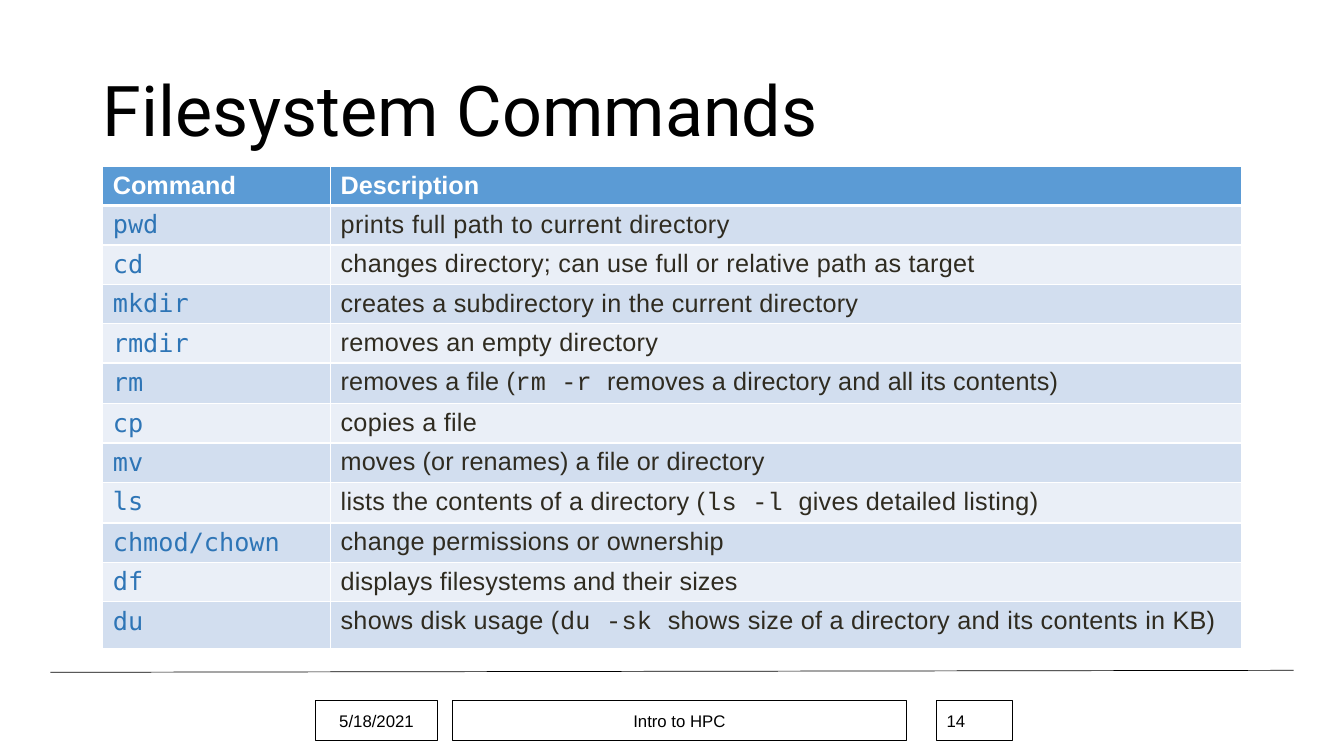
from lxml import etree
from pptx import Presentation
from pptx.dml.color import RGBColor
from pptx.enum.shapes import MSO_CONNECTOR, MSO_SHAPE
from pptx.enum.text import MSO_ANCHOR, MSO_AUTO_SIZE, PP_ALIGN
from pptx.oxml.ns import qn
from pptx.util import Inches, Pt

LEFT, CENTER = PP_ALIGN.LEFT, PP_ALIGN.CENTER
MIDDLE = MSO_ANCHOR.MIDDLE
NO_FIT = MSO_AUTO_SIZE.NONE
RECT = MSO_SHAPE.RECTANGLE
STRAIGHT = MSO_CONNECTOR.STRAIGHT
TITLE_ONLY = 5
WIDTH, HEIGHT = Inches(13.33), Inches(7.5)

HEADINGS = ("Command", "Description")
COMMANDS = [
    ("pwd", "prints full path to current directory", 0.3),
    ("cd", "changes directory; can use full or relative path as target", 0.2),
    ("mkdir", "creates a subdirectory in the current directory", 0.2),
    ("rmdir", "removes an empty directory", 0.2),
    ("rm", "removes a file (`rm -r `removes a directory and all its contents)", 0.1),
    ("cp", "copies a file", 0.2),
    ("mv", "moves (or renames) a file or directory", 0.1),
    ("ls", "lists the contents of a directory (`ls -l `gives detailed listing)", 0.2),
    ("chmod/chown", "change permissions or ownership", 0.2),
    ("df", "displays filesystems and their sizes", 0.1),
    ("du", "shows disk usage (`du -sk `shows size of a directory "
           "and its contents in KB)", 0.2),
]
FOOTERS = [
    (23.48, 9.08, "5/18/2021", CENTER),
    (33.68, 33.76, "Intro to HPC", CENTER),
    (69.69, 5.63, "14", LEFT),
]


def across(share):
    """Return a percentage of the slide's width."""
    return int(WIDTH * share / 100)


def down(share):
    """Return a percentage of the slide's height."""
    return int(HEIGHT * share / 100)


def rgb(color):
    """Turn a hex string into a colour."""
    return RGBColor.from_string(color)


def add_text(p, text, size=18, font="Arial", color="000000", bold=False, spacing=0):
    """Append a formatted run to a paragraph."""
    r = p.add_run()
    r.text = text
    r.font.size, r.font.name, r.font.bold = Pt(size), font, bold
    r.font.color.rgb = rgb(color)
    if spacing:
        r.font._element.set("spc", str(round(spacing * 100)))


def set_title(s, text):
    """Place and format the slide title."""
    sp = s.shapes.title
    sp.left, sp.top = across(6.9), down(5.33)
    sp.width, sp.height = across(86.27), down(19.33)
    tf = sp.text_frame
    tf.word_wrap, tf.auto_size, tf.vertical_anchor = True, NO_FIT, MIDDLE
    p = tf.paragraphs[0]
    p.alignment, p.line_spacing = LEFT, 0.9
    add_text(p, text, size=50, font="Roboto")


def style_cell(cell, fill, top=1, bottom=1):
    """Give a cell white borders and a solid fill."""
    tc_pr = cell._tc.get_or_add_tcPr()
    for side, width in (("L", 1), ("R", 1), ("T", top), ("B", bottom)):
        ln = etree.SubElement(tc_pr, qn(f"a:ln{side}"), w=str(Pt(width)))
        solid = etree.SubElement(ln, qn("a:solidFill"))
        etree.SubElement(solid, qn("a:srgbClr"), val="FFFFFF")
    cell.fill.solid()
    cell.fill.fore_color.rgb = rgb(fill)


def add_command_table(s):
    """Add the table of commands, with backticks marking code."""
    count = len(COMMANDS) + 1
    widths = [across(16.95), across(67.82)]
    heights = [down(5.2)] * (count - 1) + [down(6.27)]
    table = s.shapes.add_table(count, 2, across(7.65), down(22),
                               sum(widths), sum(heights)).table
    for column, width in zip(table.columns, widths):
        column.width = width
    for row, height in zip(table.rows, heights):
        row.height = height
    for i, heading in enumerate(HEADINGS):
        cell = table.cell(0, i)
        style_cell(cell, "5B9BD5", bottom=3)
        add_text(cell.text_frame.paragraphs[0], heading, color="FFFFFF", bold=True)
    for i, (command, description, spacing) in enumerate(COMMANDS, 1):
        name, detail = table.cell(i, 0), table.cell(i, 1)
        for cell in (name, detail):
            style_cell(cell, "D2DEEF" if i % 2 else "EAEFF7", top=3 if i == 1 else 1)
        add_text(name.text_frame.paragraphs[0], command,
                 font="DejaVu Sans Mono", color="2E75B6")
        for j, part in enumerate(description.split("`")):
            add_text(detail.text_frame.paragraphs[0], part, color="2F2B20",
                     font="Courier New" if j % 2 else "Arial", spacing=spacing)


def add_footer_rule(s):
    """Add the thin line above the footer."""
    line = s.shapes.add_connector(STRAIGHT, across(3.75), down(88.93),
                                  across(96.25), down(88.67))
    line.line.color.rgb, line.line.width = rgb("000000"), Pt(0.5)
    etree.SubElement(line._element.spPr, qn("a:effectLst"))


def add_footer_box(s, left, width, text, align):
    """Add an outlined footer box."""
    sp = s.shapes.add_shape(RECT, across(left), down(92.67), across(width), down(5.33))
    sp.shadow.inherit = False
    sp.fill.background()
    sp.line.color.rgb, sp.line.width = rgb("000000"), Pt(0.75)
    tf = sp.text_frame
    tf.word_wrap, tf.vertical_anchor = True, MIDDLE
    p = tf.paragraphs[0]
    p.alignment = align
    add_text(p, text, size=12)


def main():
    """Build and save the slide."""
    prs = Presentation()
    prs.slide_width, prs.slide_height = WIDTH, HEIGHT
    s = prs.slides.add_slide(prs.slide_layouts[TITLE_ONLY])
    add_footer_rule(s)
    set_title(s, "Filesystem Commands")
    add_command_table(s)
    for footer in FOOTERS:
        add_footer_box(s, *footer)
    prs.save("out.pptx")


if __name__ == "__main__":
    main()
